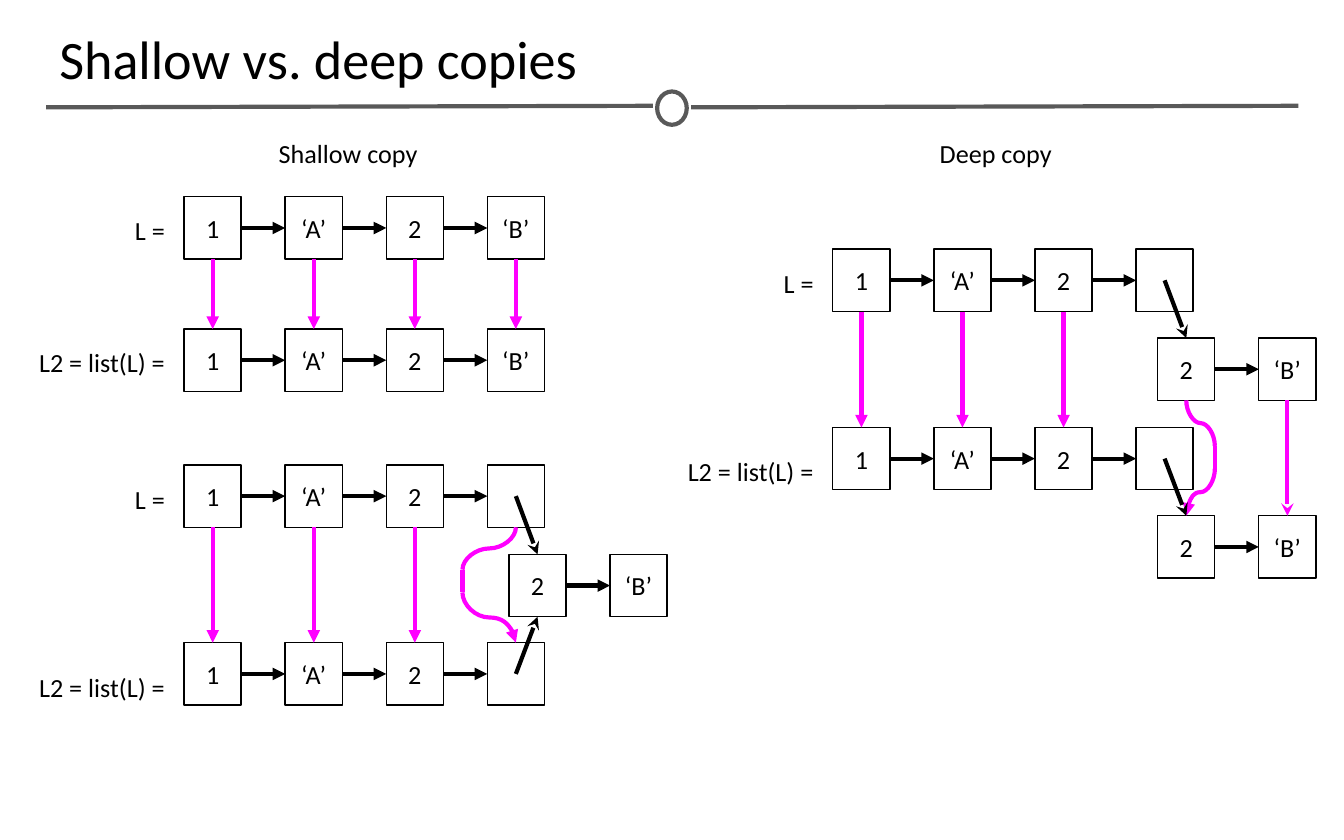
from lxml.etree import SubElement
from pptx import Presentation
from pptx.dml.color import RGBColor
from pptx.enum.shapes import MSO_CONNECTOR, MSO_SHAPE
from pptx.enum.text import MSO_ANCHOR, MSO_AUTO_SIZE, PP_ALIGN
from pptx.oxml.ns import qn
from pptx.shapes.autoshape import Shape
from pptx.util import Cm, Pt

COLORS = {"text": "000000", "rule": "595959", "link": "000000", "copy": "FF00FF"}
TOP, LEFT, BOTTOM, RIGHT = range(4)
BOX_W, BOX_H, PITCH = 1.08, 1.18, 1.91

prs = Presentation()
prs.slide_width, prs.slide_height = Cm(25.4), Cm(15.88)
s = prs.slides.add_slide(prs.slide_layouts[5])


def write(sp, text, align, size=14, anchor=MSO_ANCHOR.TOP, wrap=True):
    tf = sp.text_frame
    tf.auto_size = MSO_AUTO_SIZE.NONE
    tf.word_wrap = wrap
    tf.vertical_anchor = anchor
    tf.margin_left = tf.margin_right = tf.margin_top = tf.margin_bottom = Cm(0.25)
    p = tf.paragraphs[0]
    p.alignment = align
    r = p.add_run()
    r.text = text
    r.font.name, r.font.size = "Calibri", Pt(size)
    r.font.color.rgb = RGBColor.from_string(COLORS["text"])


def link(begin, end, color, head=None, kind=MSO_CONNECTOR.STRAIGHT):
    """Each end is a point (x, y) or a joined side (box, side)."""
    c = s.shapes.add_connector(kind, 0, 0, 0, 0)
    if isinstance(begin[0], Shape):
        c.begin_connect(*begin)
    else:
        c.begin_x, c.begin_y = begin
    if isinstance(end[0], Shape):
        c.end_connect(*end)
    else:
        c.end_x, c.end_y = end
    c.line.width = Pt(2.25)
    c.line.color.rgb = RGBColor.from_string(COLORS[color])
    if head:
        SubElement(c.line._get_or_add_ln(), qn("a:tailEnd"), type=head)
    SubElement(c._element.spPr, qn("a:effectLst"))
    return c


# Title and the rule with its ring
title = s.shapes.title
title.left, title.top, title.width, title.height = Cm(0.87), Cm(0.2), Cm(23.67), Cm(1.78)
write(title, "Shallow vs. deep copies", PP_ALIGN.LEFT, 29, MSO_ANCHOR.MIDDLE)
for x1, x2 in [(0.87, 12.34), (13.06, 24.54)]:
    link((Cm(x1), Cm(2.03)), (Cm(x2), Cm(2)), "rule")
ring = s.shapes.add_shape(MSO_SHAPE.OVAL, Cm(12.42), Cm(1.73), Cm(0.56), Cm(0.63))
ring.shadow.inherit = False
ring.fill.background()
ring.line.width = Pt(2.25)
ring.line.color.rgb = RGBColor.from_string(COLORS["rule"])

# Column headings
for x, heading in [(4.27, "Shallow copy"), (16.51, "Deep copy")]:
    sp = s.shapes.add_textbox(Cm(x), Cm(2.34), Cm(4.62), Cm(1.02))
    write(sp, heading, PP_ALIGN.CENTER)

# Lists as rows of linked boxes: left, top, items, caption, caption top
flat, nested, inner = ["1", "‘A’", "2", "‘B’"], ["1", "‘A’", "2", ""], ["2", "‘B’"]
source, duplicate = "L = ", "L2 = list(L) = "
lists = {
    "flat": (3.48, 3.72, flat, source, 3.81),
    "flat copy": (3.48, 6.22, flat, duplicate, 6.3),
    "shallow": (3.48, 8.79, nested, source, 8.89),
    "shallow copy": (3.48, 12.15, nested, duplicate, 12.45),
    "shared": (9.62, 10.48, inner, None, 0),
    "deep": (15.74, 4.71, nested, source, 4.8),
    "deep copy": (15.74, 8.08, nested, duplicate, 8.36),
    "inner": (21.88, 6.39, inner, None, 0),
    "inner copy": (21.88, 9.75, inner, None, 0),
}
rows = {}
for name, (left, top, items, caption, caption_top) in lists.items():
    boxes = rows[name] = []
    for i, item in enumerate(items):
        sp = s.shapes.add_shape(MSO_SHAPE.RECTANGLE, Cm(left + i * PITCH), Cm(top), Cm(BOX_W), Cm(BOX_H))
        sp.shadow.inherit = False
        sp.fill.background()
        sp.line.width = Pt(0.75)
        sp.line.color.rgb = RGBColor.from_string(COLORS["link"])
        if item:
            write(sp, item, PP_ALIGN.CENTER, anchor=MSO_ANCHOR.MIDDLE, wrap=False)
        boxes.append(sp)
    for a, b in zip(boxes, boxes[1:]):
        link((a, RIGHT), (b, LEFT), "link", "triangle")
    if caption:
        sp = s.shapes.add_textbox(Cm(left - 3.4), Cm(caption_top), Cm(3.4), Cm(1.02))
        write(sp, caption, PP_ALIGN.RIGHT)

# Straight copy arrows
for name, first, last, head in [("flat", 0, 4, "triangle"), ("shallow", 0, 3, "triangle"),
                                ("deep", 0, 3, "triangle"), ("inner", 1, 2, "stealth")]:
    for a, b in zip(rows[name][first:last], rows[name + " copy"][first:last]):
        link((a, BOTTOM), (b, TOP), "copy", head)

# Curved copy arrows: two vertical S-curves around a short straight piece
for a, b, bend_x, bend_top in [(rows["shallow"][3], rows["shallow copy"][3], 8.74, 10.77),
                               (rows["inner"][0], rows["inner copy"][0], 22.96, 8.43)]:
    start = (a.left + a.width // 2, a.top + a.height)
    end = (b.left + b.width // 2, b.top)
    upper, lower = (Cm(bend_x), Cm(bend_top)), (Cm(bend_x), Cm(bend_top + 0.43))
    for (x1, y1), (x2, y2), head in [(start, upper, None), (lower, end, "triangle")]:
        c = link((x1, y1), (x2, y2), "copy", head, MSO_CONNECTOR.CURVE)
        c.width, c.height = y2 - y1, abs(x2 - x1)
        c.left, c.top = (x1 + x2 - c.width) // 2, (y1 + y2 - c.height) // 2
        xfrm = c._element.spPr.find(qn("a:xfrm"))
        xfrm.set("rot", str((90 if x1 > x2 else 270) * 60000))
        xfrm.set("flipH", "0" if x1 > x2 else "1")
    link(upper, lower, "copy")

# References from the last box to the nested list
for name, target, side in [("shallow", "shared", TOP), ("shallow copy", "shared", BOTTOM),
                           ("deep", "inner", TOP), ("deep copy", "inner copy", TOP)]:
    a = rows[name][3]
    center = (a.left + a.width // 2, a.top + a.height // 2)
    link(center, (rows[target][0], side), "link", "stealth")

prs.save("out.pptx")
